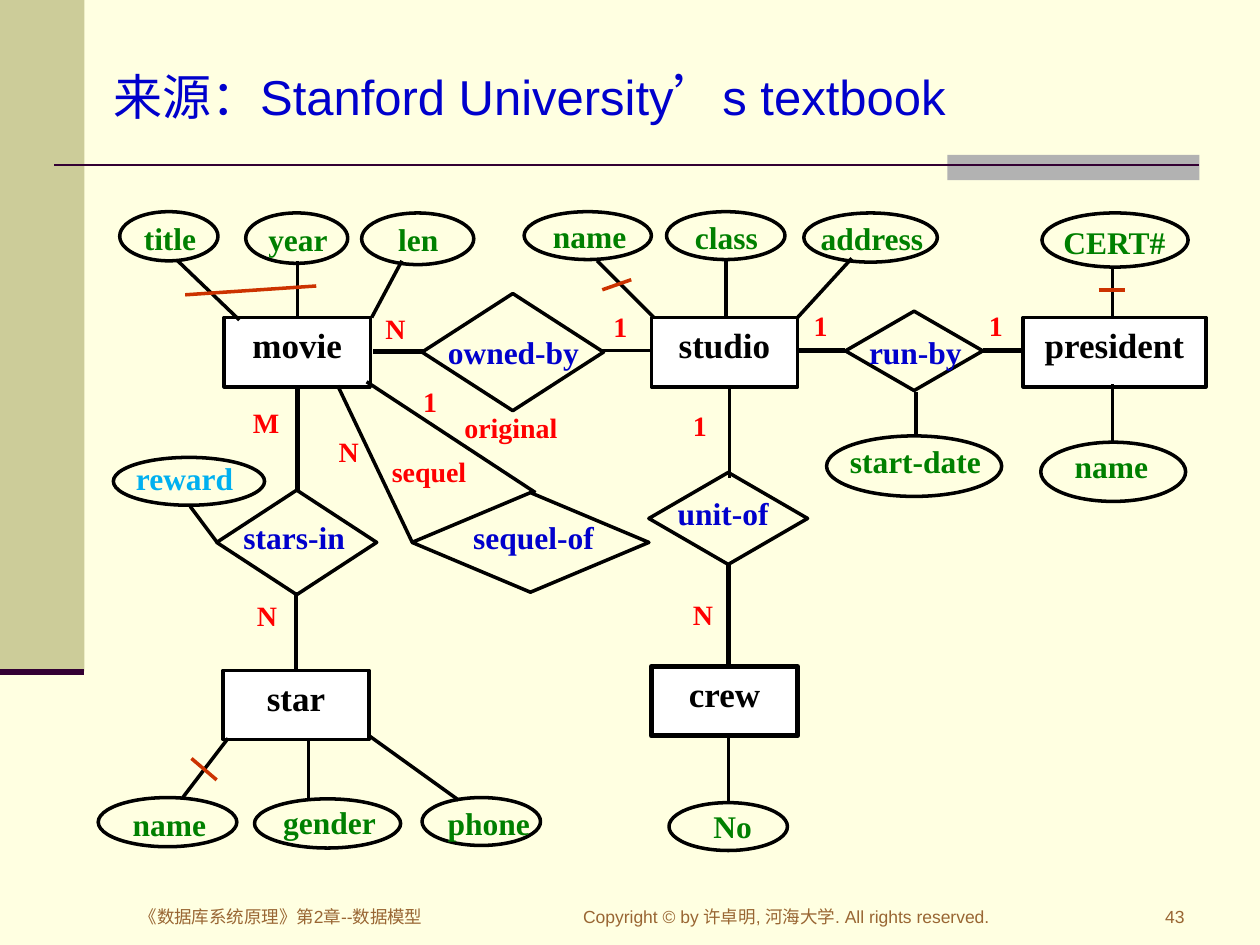
"""Builds a slide with an entity-relationship diagram of a movie database."""
import pptx
import pptx.dml.color
import pptx.enum.shapes
import pptx.enum.text
import pptx.oxml.ns
import pptx.util
from lxml import etree

PX = 9144
COLOURS = {
    "page": "FFFFE1", "band": "CCCC99", "tab": "B2B2B2", "rule": "330033",
    "relation": "0000CC", "entity": "000000", "paper": "FFFFFF",
    "attribute": "008000", "reward": "00B0F0", "role": "FF0000",
    "key": "CC3300", "footer": "996633",
}
SHAPE = pptx.enum.shapes.MSO_SHAPE
ALIGN = pptx.enum.text.PP_ALIGN
ANCHOR = pptx.enum.text.MSO_ANCHOR

ENTITIES = [
    ("movie", (178, 152, 116, 55), 2),
    ("president", (812, 152, 145, 55), 2),
    ("star", (177, 432, 116, 55), 2),
    ("studio", (517, 152, 116, 55), 2),
    ("crew", (517, 429, 116, 55), 3),
]
RELATIONS = [
    ("stars-in", (172, 289, 127, 83), (172, 306, 123, 55), ANCHOR.TOP),
    ("unit-of", (515, 275, 126, 73), (524, 287, 100, 55), ANCHOR.TOP),
    ("run-by", (671, 147, 109, 63), (676, 152, 101, 55), ANCHOR.MIDDLE),
    ("owned-by", (335, 133, 144, 93), (339, 153, 137, 52), ANCHOR.MIDDLE),
    ("sequel-of", (327, 291, 188, 79), (343, 306, 161, 55), ANCHOR.TOP),
]
ATTRIBUTES = [
    ("title", (95, 68, 78, 39), (97, 62, 76, 53), ANCHOR.MIDDLE),
    ("year", (195, 69, 81, 40), (197, 68, 79, 43), ANCHOR.MIDDLE),
    ("len", (287, 69, 89, 41), (289, 71, 86, 37), ANCHOR.MIDDLE),
    ("name", (78, 533, 110, 39), (81, 534, 107, 39), ANCHOR.MIDDLE),
    ("gender", (202, 534, 116, 39), (205, 535, 113, 35), ANCHOR.MIDDLE),
    ("phone", (335, 533, 94, 38), (318, 533, 140, 40), ANCHOR.MIDDLE),
    ("reward", (90, 263, 120, 38), (79, 259, 135, 55), ANCHOR.TOP),
    ("name", (416, 68, 101, 38), (419, 67, 98, 42), ANCHOR.TOP),
    ("address", (638, 69, 106, 39), (632, 70, 120, 38), ANCHOR.MIDDLE),
    ("class", (529, 68, 94, 38), (531, 68, 91, 38), ANCHOR.TOP),
    ("No", (531, 537, 94, 38), (536, 535, 91, 41), ANCHOR.MIDDLE),
    ("name", (826, 251, 115, 47), (826, 250, 112, 52), ANCHOR.TOP),
    ("CERT#", (827, 69, 116, 43), (828, 72, 113, 43), ANCHOR.TOP),
    ("start-date", (656, 246, 139, 48), (659, 246, 135, 68), ANCHOR.TOP),
]
CARDINALITIES = [
    ("M", 191, 217), ("N", 194, 370), ("N", 296, 142), ("1", 477, 141),
    ("1", 636, 140), ("1", 775, 140), ("1", 540, 219), ("N", 540, 369),
    ("N", 259, 240), ("1", 326, 200),
]
ROLES = [("original", 355, 221), ("sequel", 290, 256)]
TOTAL_LINKS = [
    (236, 290, 236, 206), (578, 347, 578, 429), (671, 178, 633, 178),
    (780, 178, 812, 178), (337, 179, 296, 179),
]
PARTIAL_LINKS = [
    (235, 370, 235, 432), (579, 279, 579, 206), (477, 178, 517, 178),
    (268, 206, 327, 330), (425, 291, 291, 203),
]
ATTRIBUTE_LINKS = [
    (190, 154, 141, 107), (236, 107, 236, 152), (319, 107, 295, 152),
    (172, 330, 151, 302), (519, 152, 474, 107), (576, 152, 576, 107),
    (633, 152, 676, 105), (883, 152, 883, 111), (883, 252, 883, 205),
    (727, 211, 727, 245), (181, 486, 145, 533), (245, 533, 245, 486),
    (364, 535, 293, 484), (578, 484, 578, 537),
]
KEY_MARKS = [
    (172, 519, 152, 502), (147, 134, 251, 127),
    (501, 122, 478, 130), (872, 130, 893, 130),
]


def rgb(name):
    """Return the named colour."""
    return pptx.dml.color.RGBColor.from_string(COLOURS[name])


def place(origin, box):
    """Return the EMU position and size of a box measured from an origin."""
    left, top, width, height = box
    return [PX * value for value in (origin[0] + left, origin[1] + top, width, height)]


def write(frame, text, *, colour, size, font="Times New Roman", bold=True,
          align=ALIGN.CENTER, anchor=ANCHOR.TOP):
    """Fill a text frame with one formatted paragraph."""
    frame.word_wrap = True
    frame.auto_size = pptx.enum.text.MSO_AUTO_SIZE.NONE
    frame.vertical_anchor = anchor
    paragraph = frame.paragraphs[0]
    paragraph.text = text
    paragraph.alignment = align
    paragraph.font.name = font
    paragraph.font.size = pptx.util.Pt(size)
    paragraph.font.bold = bold
    paragraph.font.color.rgb = rgb(colour)


def add_label(slide, origin, box, text, **style):
    """Add a text box with one formatted paragraph."""
    write(slide.shapes.add_textbox(*place(origin, box)).text_frame, text, **style)


def add_block(slide, origin, box, kind, fill=None, line=None, width=2):
    """Add a preset shape with an optional fill and outline."""
    shape = slide.shapes.add_shape(kind, *place(origin, box))
    shape.shadow.inherit = False
    if fill:
        shape.fill.solid()
        shape.fill.fore_color.rgb = rgb(fill)
    else:
        shape.fill.background()
    if line:
        shape.line.color.rgb = rgb(line)
        shape.line.width = pptx.util.Pt(width)
    else:
        shape.line.fill.background()
    return shape


def add_lines(slide, origin, lines, colour="entity", width=2):
    """Add straight lines given as start and end points."""
    for x1, y1, x2, y2 in lines:
        points = (origin[0] + x1, origin[1] + y1, origin[0] + x2, origin[1] + y2)
        connector = slide.shapes.add_connector(
            pptx.enum.shapes.MSO_CONNECTOR.STRAIGHT, *[PX * value for value in points])
        connector.line.color.rgb = rgb(colour)
        connector.line.width = pptx.util.Pt(width)
        etree.SubElement(connector._element.spPr, pptx.oxml.ns.qn("a:effectLst"))


def add_backdrop(slide, box):
    """Colour the page and draw the side band and the title rule."""
    slide.background.fill.solid()
    slide.background.fill.fore_color.rgb = rgb("page")
    add_block(slide, box, (0, 0, 67, 533), SHAPE.RECTANGLE, "band")
    add_block(slide, box, (752, 123, 200, 20), SHAPE.RECTANGLE, "tab")
    add_lines(slide, box, [(43, 131, 952, 131)], "rule", 1.5)
    add_lines(slide, box, [(0, 533, 67, 533)], "rule", 3.5)


def add_title(slide, box):
    """Move and fill the title placeholder."""
    title = slide.shapes.title
    title.left, title.top, title.width, title.height = place((0, 0), box)
    write(title.text_frame, "来源：Stanford University’s textbook", colour="relation",
          size=28, font="Arial", bold=False, align=ALIGN.LEFT)


def add_diagram(slide, box):
    """Draw the entities, relations, attributes and links of the diagram."""
    for text, area, width in ENTITIES:
        shape = add_block(slide, box, area, SHAPE.RECTANGLE, "paper", "entity", width)
        write(shape.text_frame, text, colour="entity", size=20)
    for items, kind, colour in (
            (RELATIONS, SHAPE.FLOWCHART_DECISION, "relation"),
            (ATTRIBUTES, SHAPE.OVAL, "attribute")):
        for text, outline, label, anchor in items:
            add_block(slide, box, outline, kind, line="entity")
            add_label(slide, box, label, text, size=18, anchor=anchor,
                      colour="reward" if text == "reward" else colour)
    for text, left, top in CARDINALITIES:
        add_label(slide, box, (left, top, 50, 47), text, colour="role", size=16,
                  align=ALIGN.LEFT)
    for text, left, top in ROLES:
        add_label(slide, box, (left, top, 101, 55), text, colour="role", size=16)
    add_lines(slide, box, TOTAL_LINKS, width=3)
    add_lines(slide, box, PARTIAL_LINKS + ATTRIBUTE_LINKS)
    add_lines(slide, box, KEY_MARKS, "key")


def add_footer(slide, box):
    """Write the course name, the copyright line and the page number."""
    for left, width, text, align in (
            (0, 321, "《数据库系统原理》第2章--数据模型", ALIGN.LEFT),
            (352, 354, "Copyright © by 许卓明, 河海大学. All rights reserved.", ALIGN.LEFT),
            (777, 72, "43", ALIGN.RIGHT)):
        add_label(slide, box, (left, 0, width, box[3]), text, colour="footer",
                  size=10, font="Arial", bold=False, align=align)


def main():
    """Build and save the presentation."""
    presentation = pptx.Presentation()
    presentation.slide_width = 1000 * PX
    presentation.slide_height = 750 * PX
    slide = presentation.slides.add_slide(presentation.slide_layouts[5])
    add_backdrop(slide, (0, 0, 1000, 750))
    add_title(slide, (80, 48, 877, 52))
    add_diagram(slide, (0, 100, 1000, 600))
    add_footer(slide, (101, 714, 849, 31))
    presentation.save("out.pptx")


if __name__ == "__main__":
    main()
